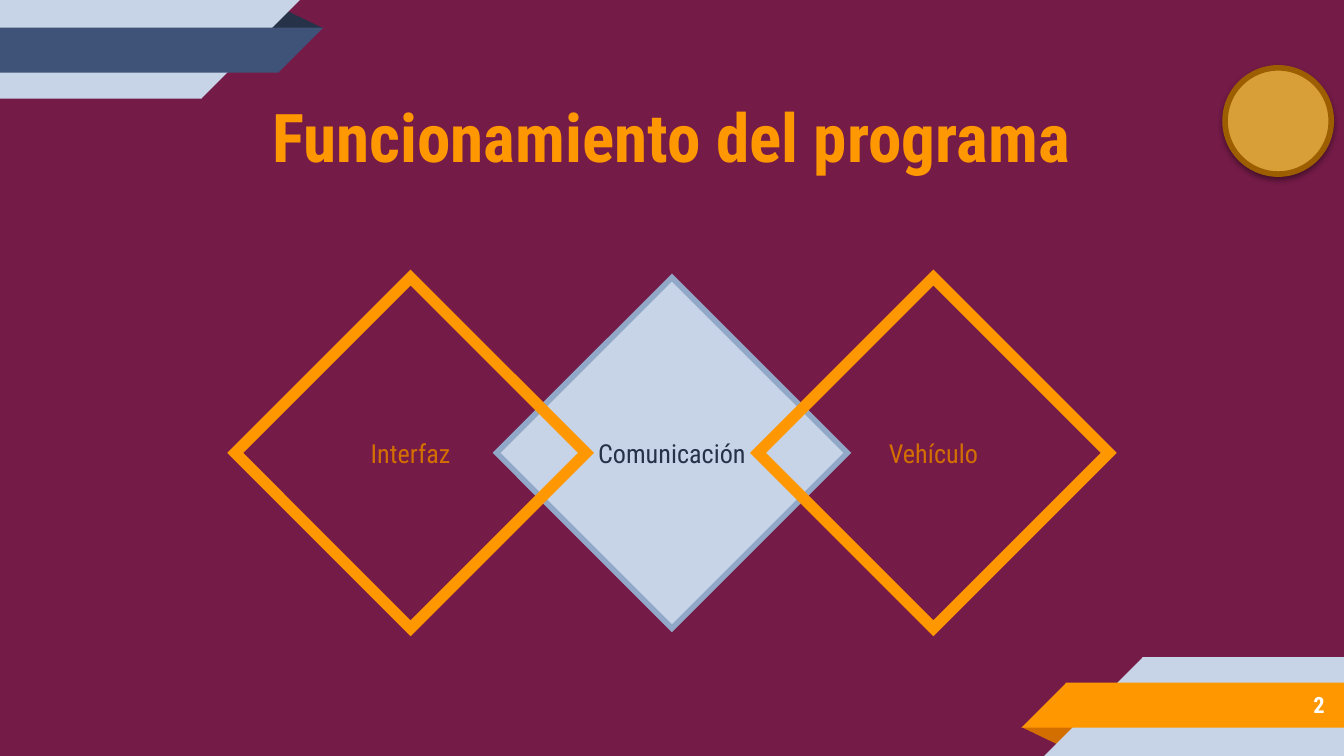
from dataclasses import dataclass
from typing import Optional

from lxml.etree import SubElement
from pptx import Presentation
from pptx.dml.color import RGBColor
from pptx.enum.shapes import MSO_SHAPE as Preset
from pptx.enum.text import MSO_ANCHOR as Anchor, PP_ALIGN as Align
from pptx.oxml.ns import qn
from pptx.util import Pt

EMU_PER_PX = 4572
SLIDE_WIDTH, SLIDE_HEIGHT = 2000, 1125
INSET = 20


@dataclass(frozen=True)
class Theme:
    font: str = "Roboto Condensed"
    title_size: int = 36
    label_size: int = 14
    number_size: int = 12
    background: str = "741B47"
    orange: str = "FF9800"
    dark_orange: str = "D26F00"
    pale: str = "C7D3E6"
    steel: str = "92A8C8"
    blue: str = "3F5378"
    navy: str = "263248"
    white: str = "FFFFFF"
    gold: str = "D89F39"
    bronze: str = "9D5E00"
    shadow: str = "000000"


THEME = Theme()


@dataclass(frozen=True)
class Box:
    left: int
    top: int
    width: int
    height: int

    def emu(self) -> tuple:
        return tuple(
            n * EMU_PER_PX for n in (self.left, self.top, self.width, self.height)
        )


@dataclass(frozen=True)
class Band:
    bar: Box
    tip_left: int
    color: str


@dataclass(frozen=True)
class Ribbon:
    fold: Box
    fold_color: str
    bands: tuple
    rotation: int
    fold_rotation: int


@dataclass(frozen=True)
class Stage:
    label: str
    left: int
    fill: Optional[str]
    line: str
    line_width: int
    color: str


RIBBONS = (
    Ribbon(
        Box(1520, 1082, 86, 28), THEME.dark_orange,
        (Band(Box(1700, 978, 300, 147), 1554, THEME.pale),
         Band(Box(1586, 1016, 414, 67), 1520, THEME.orange)),
        rotation=0, fold_rotation=180,
    ),
    Ribbon(
        Box(395, 14, 86, 28), THEME.navy,
        (Band(Box(0, 0, 300, 147), 299, THEME.pale),
         Band(Box(0, 41, 415, 67), 414, THEME.blue)),
        rotation=180, fold_rotation=0,
    ),
)

STAGES = (
    Stage("Comunicación", 739, THEME.pale, THEME.steel, 3, THEME.navy),
    Stage("Interfaz", 350, None, THEME.orange, 6, THEME.dark_orange),
    Stage("Vehículo", 1128, None, THEME.orange, 6, THEME.dark_orange),
)
STAGE_TOP, STAGE_SIZE = 413, 522


def add_preset(slide, preset: Preset, box: Box, fill: Optional[str],
               line: Optional[str] = None, line_width: int = 0):
    shape = slide.shapes.add_shape(preset, *box.emu())
    shape.shadow.inherit = False
    if fill:
        shape.fill.solid()
        shape.fill.fore_color.rgb = RGBColor.from_string(fill)
    else:
        shape.fill.background()
    if line:
        shape.line.color.rgb = RGBColor.from_string(line)
        shape.line.width = Pt(line_width)
        outline = shape._element.spPr.find(qn("a:ln"))
        SubElement(outline, qn("a:miter"), lim="800000")
    else:
        shape.line.fill.background()
    return shape


def write(holder, text: str, size: int, color: str, align: Align,
          bold: bool = False, wrap: bool = True) -> None:
    frame = holder.text_frame
    frame.word_wrap = wrap
    frame.vertical_anchor = Anchor.MIDDLE
    frame.margin_left = frame.margin_right = INSET * EMU_PER_PX
    frame.margin_top = frame.margin_bottom = INSET * EMU_PER_PX
    paragraph = frame.paragraphs[0]
    paragraph.text = text
    paragraph.alignment = align
    paragraph.font.name = THEME.font
    paragraph.font.size = Pt(size)
    paragraph.font.bold = bold
    paragraph.font.color.rgb = RGBColor.from_string(color)


def draw_ribbon(slide, ribbon: Ribbon) -> None:
    fold = add_preset(slide, Preset.ISOSCELES_TRIANGLE, ribbon.fold, ribbon.fold_color)
    fold.adjustments[0] = 0.32
    fold.rotation = ribbon.fold_rotation
    for band in ribbon.bands:
        add_preset(slide, Preset.RECTANGLE, band.bar, band.color)
        side = band.bar.height
        tip = add_preset(slide, Preset.RIGHT_TRIANGLE,
                         Box(band.tip_left, band.bar.top, side, side), band.color)
        tip.rotation = ribbon.rotation
        tip._element.spPr.find(qn("a:xfrm")).set("flipH", "1")


def draw_stage(slide, stage: Stage) -> None:
    diamond = add_preset(slide, Preset.DIAMOND,
                         Box(stage.left, STAGE_TOP, STAGE_SIZE, STAGE_SIZE),
                         stage.fill, stage.line, stage.line_width)
    write(diamond, stage.label, THEME.label_size, stage.color, Align.CENTER, wrap=False)


def draw_medal(slide) -> None:
    medal = add_preset(slide, Preset.OVAL, Box(1823, 101, 158, 158),
                       THEME.gold, THEME.bronze, 3)
    effects = medal._element.spPr.find(qn("a:effectLst"))
    shadow = SubElement(effects, qn("a:outerShdw"), blurRad=str(Pt(3.1)),
                        dist=str(Pt(1.6)), dir="5400000", rotWithShape="0")
    tint = SubElement(shadow, qn("a:srgbClr"), val=THEME.shadow)
    SubElement(tint, qn("a:alpha"), val="38000")


def main() -> None:
    deck = Presentation()
    deck.slide_width = SLIDE_WIDTH * EMU_PER_PX
    deck.slide_height = SLIDE_HEIGHT * EMU_PER_PX
    slide = deck.slides.add_slide(deck.slide_layouts[6])
    slide.background.fill.solid()
    slide.background.fill.fore_color.rgb = RGBColor.from_string(THEME.background)

    for ribbon in RIBBONS:
        draw_ribbon(slide, ribbon)
    title = slide.shapes.add_textbox(*Box(278, 75, 1442, 254).emu())
    write(title, "Funcionamiento del programa", THEME.title_size, THEME.orange,
          Align.CENTER, bold=True)
    number = slide.shapes.add_textbox(*Box(1665, 1014, 326, 70).emu())
    write(number, "2", THEME.number_size, THEME.white, Align.RIGHT, bold=True)
    for stage in STAGES:
        draw_stage(slide, stage)
    draw_medal(slide)
    deck.save("out.pptx")


if __name__ == "__main__":
    main()
